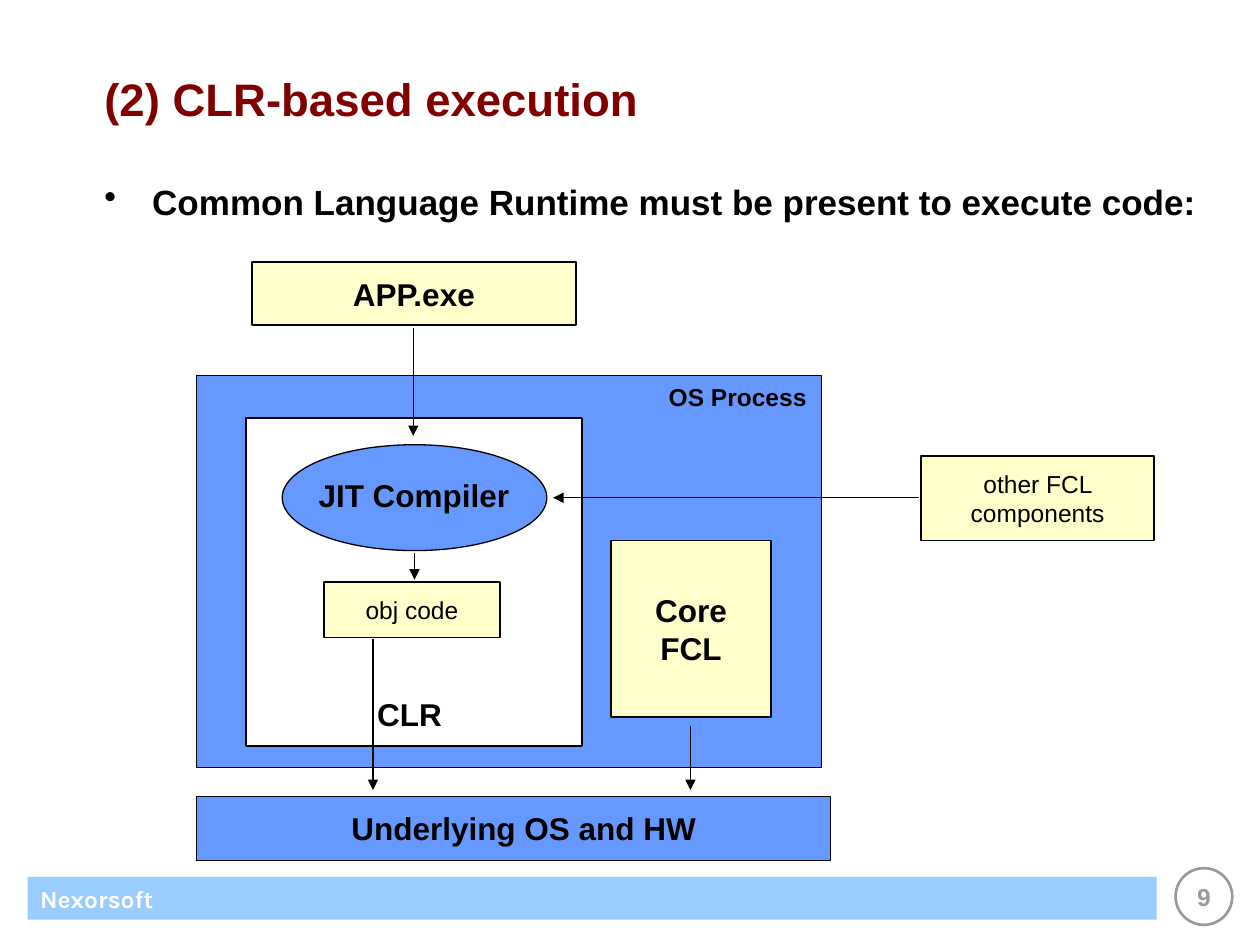
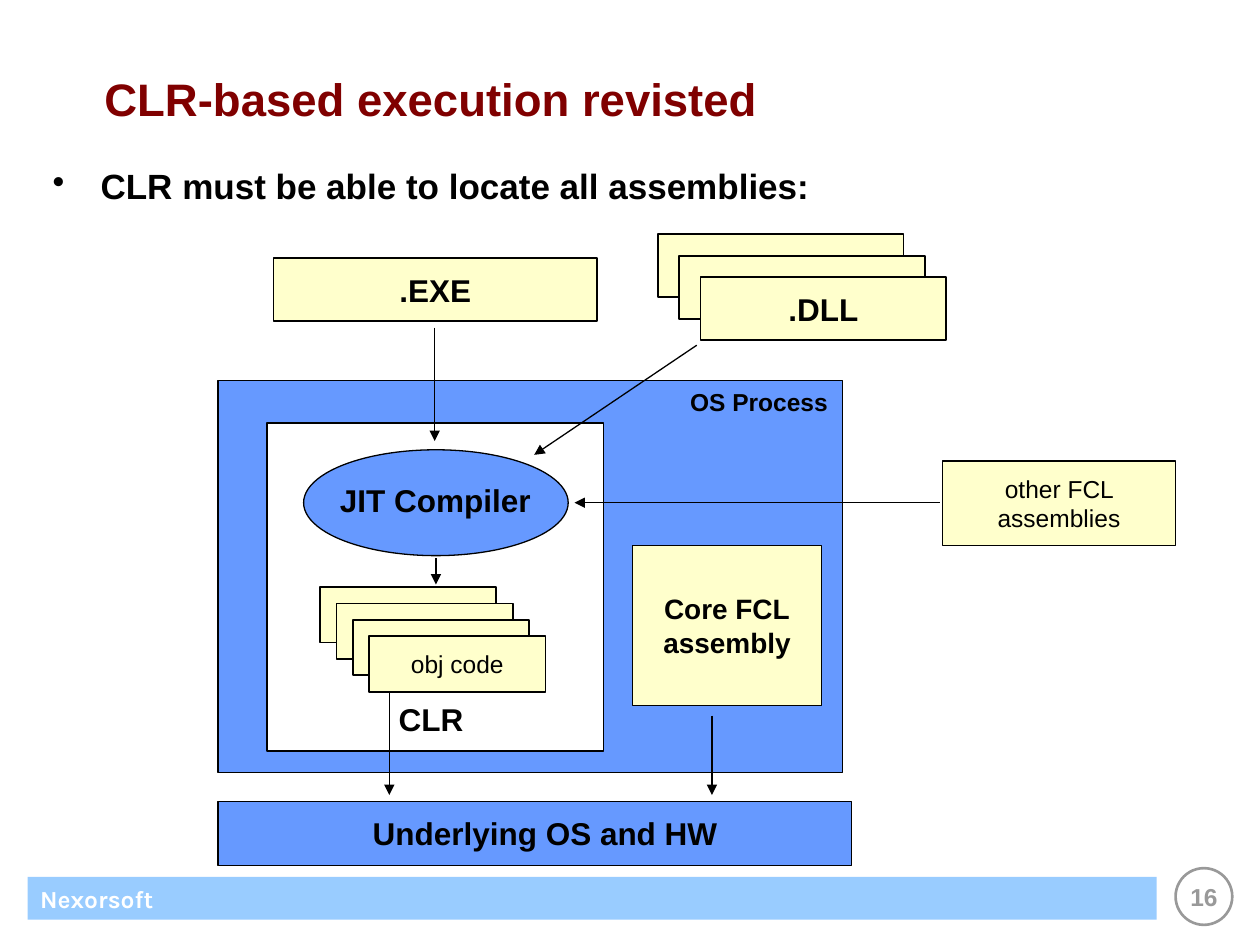
"""Two slides on CLR-based execution, drawn from one shared diagram."""
from dataclasses import dataclass

from lxml import etree
from pptx import Presentation
from pptx.dml.color import RGBColor
from pptx.enum import shapes, text
from pptx.oxml import ns
from pptx.util import Inches, Pt

BLACK = RGBColor(0x00, 0x00, 0x00)
WHITE = RGBColor(0xFF, 0xFF, 0xFF)
MAROON = RGBColor(0x80, 0x00, 0x00)
GREY = RGBColor(0x99, 0x99, 0x99)
BLUE = RGBColor(0x66, 0x99, 0xFF)
LIGHT_BLUE = RGBColor(0x99, 0xCC, 0xFF)
CREAM = RGBColor(0xFF, 0xFF, 0xCC)

RECT = shapes.MSO_SHAPE.RECTANGLE
OVAL = shapes.MSO_SHAPE.OVAL
LEFT, CENTER, RIGHT = text.PP_ALIGN.LEFT, text.PP_ALIGN.CENTER, text.PP_ALIGN.RIGHT
TOP, MIDDLE, BOTTOM = text.MSO_ANCHOR.TOP, text.MSO_ANCHOR.MIDDLE, text.MSO_ANCHOR.BOTTOM


@dataclass(frozen=True)
class Area:
    """A rectangle in inches."""
    left: float
    top: float
    width: float
    height: float

    def moved(self, dx: float, dy: float) -> "Area":
        """Return the same rectangle shifted by dx, dy."""
        return Area(self.left + dx, self.top + dy, self.width, self.height)

    def lengths(self) -> list:
        """Return the four values as lengths."""
        return [Inches(v) for v in (self.left, self.top, self.width, self.height)]


@dataclass(frozen=True)
class Style:
    """How a piece of text is set."""
    size: float = 18
    bold: bool = True
    color: RGBColor = BLACK
    font: str = "Arial"
    align: text.PP_ALIGN = CENTER
    anchor: text.MSO_ANCHOR = MIDDLE
    inset_x: float = 0.1
    inset_y: float = 0.05
    wrap: bool = True


TITLE = Style(26, color=MAROON, align=LEFT)
BULLET = Style(20, align=LEFT, anchor=TOP)
FOOTER = Style(14, color=WHITE, font="Karla", align=LEFT)
PAGE = Style(14, color=GREY, inset_x=0, inset_y=0, wrap=False)
LABEL = Style(align=LEFT)
CORNER = Style(14, align=RIGHT)
BOX = Style(inset_x=0.2, inset_y=0.1)
SMALL_BOX = Style(14, bold=False, inset_x=0.2, inset_y=0.1)
CORE_BOX = Style(16, inset_x=0.2, inset_y=0.1)
CLR_BOX = Style(anchor=BOTTOM, inset_x=0.2, inset_y=0.1)


@dataclass(frozen=True)
class Stack:
    """Equal boxes, each a step right and down; only the front one is labelled."""
    label: str
    style: Style
    back: Area
    count: int = 1
    step: float = 0.0


@dataclass(frozen=True)
class Execution:
    """One slide; diagram places count from the OS process corner."""
    title: str
    page: int
    bullet: str
    body: Area
    origin: tuple[float, float]
    app: Stack
    other: str
    core: Stack
    obj: Stack
    obj_arrow: tuple[float, float]
    core_arrow_top: float
    app_arrow_top: float
    dll: Stack | None = None


def write(shape, words: str, style: Style) -> None:
    """Fill a shape with text, one paragraph per line."""
    frame = shape.text_frame
    frame.word_wrap = style.wrap
    frame.vertical_anchor = style.anchor
    frame.margin_left = frame.margin_right = Inches(style.inset_x)
    frame.margin_top = frame.margin_bottom = Inches(style.inset_y)
    frame.text = words
    for paragraph in frame.paragraphs:
        paragraph.alignment = style.align
        font = paragraph.font
        font.name, font.size, font.bold = style.font, Pt(style.size), style.bold
        font.color.rgb = style.color


def add_block(slide, kind, area: Area, fill: RGBColor, words: str = "",
              style: Style = BOX, line: RGBColor | None = BLACK, weight: float = 1):
    """Draw a filled preset shape, with text if there is any."""
    block = slide.shapes.add_shape(kind, *area.lengths())
    block.shadow.inherit = False
    block.fill.solid()
    block.fill.fore_color.rgb = fill
    if line is None:
        block.line.fill.background()
    else:
        block.line.color.rgb = line
        block.line.width = Pt(weight)
    if words:
        write(block, words, style)


def add_text(slide, area: Area, words: str, style: Style):
    """Draw a text box and return it."""
    box = slide.shapes.add_textbox(*area.lengths())
    write(box, words, style)
    return box


def add_bullet(slide, area: Area, words: str) -> None:
    """Draw the bulleted statement above the diagram."""
    box = add_text(slide, area, words, BULLET)
    properties = box.text_frame.paragraphs[0]._p.get_or_add_pPr()
    properties.set("marL", str(Inches(0.38)))
    properties.set("indent", str(-Inches(0.38)))
    bullet = etree.Element(ns.qn("a:buChar"), char="•")
    properties.find(ns.qn("a:defRPr")).addprevious(bullet)


def add_stack(slide, stack: Stack, origin: tuple[float, float]) -> None:
    """Draw a stack of cream boxes from back to front."""
    for i in range(stack.count):
        area = stack.back.moved(origin[0] + i * stack.step, origin[1] + i * stack.step)
        words = stack.label if i == stack.count - 1 else ""
        add_block(slide, RECT, area, CREAM, words, stack.style)


def add_arrow(slide, origin: tuple[float, float], x1: float, y1: float,
              x2: float, y2: float) -> None:
    """Draw an arrow whose head is at x2, y2."""
    x, y = origin
    arrow = slide.shapes.add_connector(
        shapes.MSO_CONNECTOR.STRAIGHT,
        Inches(x + x1), Inches(y + y1), Inches(x + x2), Inches(y + y2))
    arrow.line.color.rgb = BLACK
    arrow.line.width = Pt(0.75)
    etree.SubElement(arrow.line._get_or_add_ln(), ns.qn("a:tailEnd"), type="triangle")
    etree.SubElement(arrow._element.spPr, ns.qn("a:effectLst"))


def add_furniture(slide, title: str, page: int) -> None:
    """Draw the page number, footer band and title."""
    add_block(slide, OVAL, Area(9.33, 6.89, 0.45, 0.45), WHITE, str(page), PAGE, GREY, 1.5)
    add_block(slide, RECT, Area(0.22, 6.96, 8.96, 0.34), LIGHT_BLUE, "Nexorsoft", FOOTER, None)
    add_text(slide, Area(0.73, 0.2, 8.77, 1.16), title, TITLE)


def add_diagram(slide, item: Execution) -> None:
    """Draw the runtime diagram of one slide."""
    origin = item.origin

    def place(*values: float) -> Area:
        """Turn diagram places into slide places."""
        return Area(*values).moved(*origin)

    add_block(slide, RECT, place(0, 0, 4.96, 3.11), BLUE, weight=0.75)
    add_stack(slide, item.app, origin)
    add_block(slide, RECT, place(5.75, 0.64, 1.85, 0.67), CREAM, item.other, SMALL_BOX)
    add_block(slide, RECT, place(0.39, 0.34, 2.67, 2.6), WHITE, "CLR ", CLR_BOX)
    add_block(slide, OVAL, place(0.68, 0.55, 2.1, 0.84), BLUE, weight=0.75)
    add_text(slide, place(0.87, 0.75, 1.8, 0.4), "JIT Compiler", LABEL)
    add_text(slide, place(3.03, 0, 1.91, 0.34), "OS Process", CORNER)
    add_block(slide, RECT, place(0, 3.34, 5.03, 0.51), BLUE, weight=0.75)
    add_text(slide, place(1.13, 3.39, 3.21, 0.4), "Underlying OS and HW", LABEL)
    add_stack(slide, item.core, origin)

    obj_x, obj_y = item.obj_arrow
    add_arrow(slide, origin, 5.73, 0.97, 2.83, 0.97)
    add_arrow(slide, origin, 1.73, 1.41, 1.73, 1.62)
    add_arrow(slide, origin, obj_x, obj_y, obj_x, 3.29)
    add_arrow(slide, origin, 3.92, item.core_arrow_top, 3.92, 3.29)
    add_arrow(slide, origin, 1.72, item.app_arrow_top, 1.72, 0.48)
    if item.dll:
        add_stack(slide, item.dll, origin)
        add_arrow(slide, origin, 3.8, -0.28, 2.51, 0.59)
    add_stack(slide, item.obj, origin)


EXECUTIONS = [
    Execution(
        title="(2) CLR-based execution",
        page=9,
        bullet="Common Language Runtime must be present to execute code:",
        body=Area(0.73, 1.38, 9.03, 5.22),
        origin=(1.56, 2.98),
        app=Stack("APP.exe", BOX, Area(0.44, -0.9, 2.57, 0.5)),
        other="other FCL components",
        core=Stack("Core FCL", BOX, Area(3.29, 1.31, 1.27, 1.4)),
        obj=Stack("obj code", SMALL_BOX, Area(1.01, 1.64, 1.4, 0.44)),
        obj_arrow=(1.4, 2.09),
        core_arrow_top=2.78,
        app_arrow_top=-0.38,
    ),
    Execution(
        title="CLR-based execution revisted",
        page=16,
        bullet="CLR must be able to locate all assemblies:",
        body=Area(0.32, 1.26, 8.77, 5.22),
        origin=(1.73, 3.02),
        app=Stack(".EXE", BOX, Area(0.44, -0.97, 2.57, 0.5)),
        other="other FCL assemblies",
        core=Stack("Core FCL\nassembly", CORE_BOX, Area(3.29, 1.31, 1.5, 1.27)),
        obj=Stack("obj code", SMALL_BOX, Area(0.81, 1.64, 1.4, 0.44), 4, 0.13),
        obj_arrow=(1.36, 2.42),
        core_arrow_top=2.66,
        app_arrow_top=-0.42,
        dll=Stack(".DLL", BOX, Area(3.49, -1.16, 1.95, 0.5), 3, 0.17),
    ),
]


def main() -> None:
    """Build and save the presentation."""
    deck = Presentation()
    deck.slide_width, deck.slide_height = Inches(10), Inches(7.5)
    for item in EXECUTIONS:
        slide = deck.slides.add_slide(deck.slide_layouts[6])
        add_furniture(slide, item.title, item.page)
        add_bullet(slide, item.body, item.bullet)
        add_diagram(slide, item)
    deck.save("out.pptx")


main()
